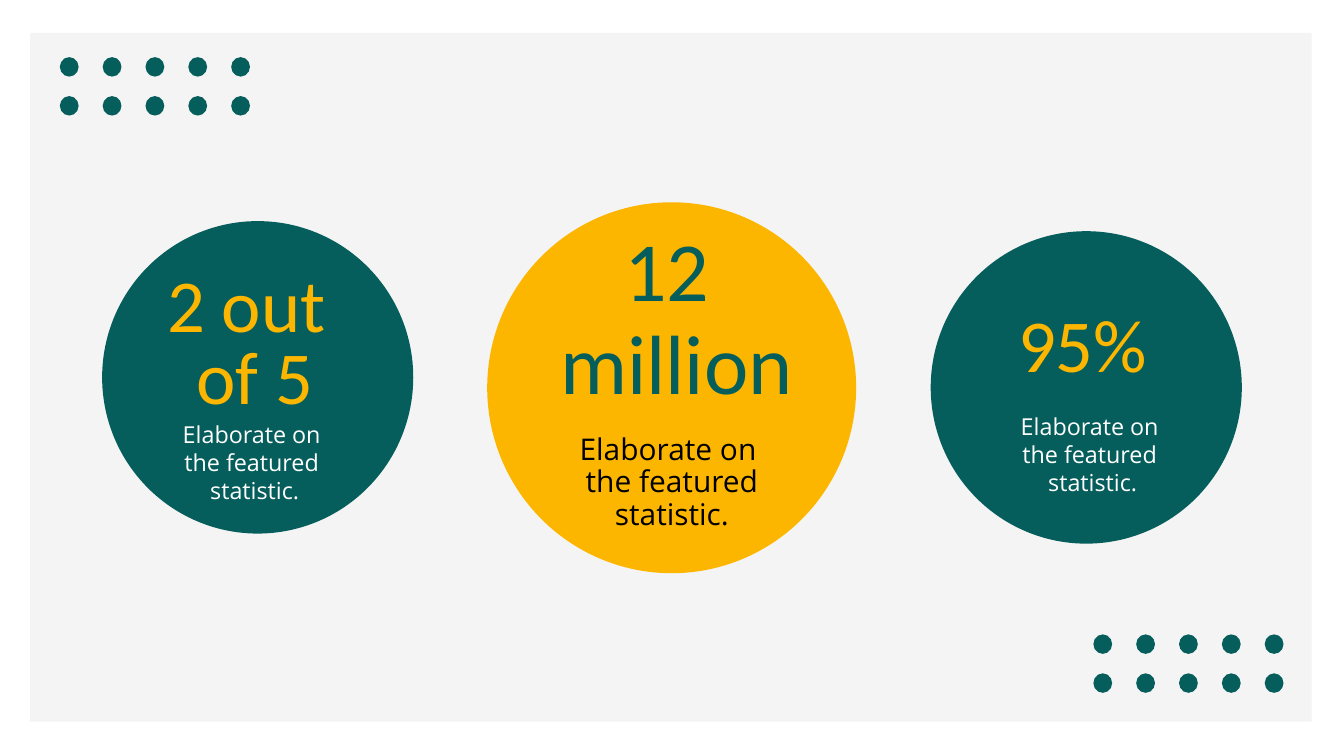
from pptx import Presentation
from pptx.dml.color import RGBColor
from pptx.enum import shapes, text
from pptx.util import Inches, Pt

TEAL = RGBColor(0x05, 0x5E, 0x5C)
GOLD = RGBColor(0xFD, 0xB6, 0x00)
GREY = RGBColor(0xF4, 0xF4, 0xF4)
WHITE = RGBColor(0xFF, 0xFF, 0xFF)
BLACK = RGBColor(0x00, 0x00, 0x00)

OVAL = shapes.MSO_SHAPE.OVAL
RECT = shapes.MSO_SHAPE.RECTANGLE
MID = text.MSO_ANCHOR.MIDDLE
TOP = text.MSO_ANCHOR.TOP


def add_form(slide, kind, box, fill):
    form = slide.shapes.add_shape(kind, *map(Inches, box))
    form.shadow.inherit = False
    form.fill.solid()
    form.fill.fore_color.rgb = fill
    form.line.fill.background()


def add_text(slide, box, lines, gaps, anchor, size, face, color):
    """Write centred lines, each with its own line spacing."""
    frame = slide.shapes.add_textbox(*map(Inches, box)).text_frame
    style = dict(margin_left=0, margin_top=0, margin_right=0, margin_bottom=0,
                 word_wrap=True, vertical_anchor=anchor)
    for key, value in style.items():
        setattr(frame, key, value)
    for i, (line, gap) in enumerate(zip(lines, gaps)):
        para = frame.add_paragraph() if i else frame.paragraphs[0]
        para.alignment = text.PP_ALIGN.CENTER
        para.line_spacing = gap
        run = para.add_run()
        run.text = line
        run.font.size = Pt(size)
        run.font.name = face
        run.font.color.rgb = color


def add_stat(slide, box, fill, stat, note):
    """Draw a disc; stat and note boxes are offset from its corner."""
    left, top = box[:2]
    add_form(slide, OVAL, box, fill)
    for part in (stat, note):
        x, y, wide, high = part["box"]
        add_text(slide, **{**part, "box": (left + x, top + y, wide, high)})


def add_dots(slide, box, cols=5, rows=2, wide=0.28, high=0.29):
    """Spread a grid of dots evenly over the box."""
    left, top, width, height = box
    for row in range(rows):
        for col in range(cols):
            x = left + col * (width - wide) / (cols - 1)
            y = top + row * (height - high) / (rows - 1)
            add_form(slide, OVAL, (x, y, wide, high), TEAL)


def main():
    deck = Presentation()
    deck.slide_width, deck.slide_height = Inches(20), Inches(11.25)
    slide = deck.slides.add_slide(deck.slide_layouts[6])

    # Backdrop panel
    add_form(slide, RECT, (0.45, 0.49, 19.07, 10.25), GREY)

    # Centre statistic
    add_stat(slide, (7.25, 3.01, 5.49, 5.52), GOLD,
             dict(box=(0.36, 0.21, 4.91, 2.86), lines=["12 ", "million"],
                  gaps=[1.06, 0.95], anchor=MID, size=90, face="Calibri",
                  color=TEAL),
             dict(box=(1.07, 3.46, 3.36, 1.45),
                  lines=["Elaborate on ", "the featured statistic."],
                  gaps=[0.9, 0.9], anchor=TOP, size=32, face="Open Sans",
                  color=BLACK))

    # Side statistics
    stat = dict(anchor=MID, size=80, face="Calibri", color=GOLD)
    note = dict(lines=["Elaborate on ", "the featured ", "statistic."],
                gaps=[1.0] * 3, anchor=TOP, size=25, face="Open Sans",
                color=WHITE)
    add_stat(slide, (1.52, 3.29, 4.63, 4.65), TEAL,
             dict(stat, box=(0.58, 0.34, 3.38, 3.06),
                  lines=["2 out ", "of 5"], gaps=[0.8, 0.8]),
             dict(note, box=(1.06, 2.97, 2.42, 1.26)))
    add_stat(slide, (13.85, 3.44, 4.63, 4.65), TEAL,
             dict(stat, box=(0.57, 0.05, 3.38, 3.06),
                  lines=["95%"], gaps=[1.11]),
             dict(note, box=(1.2, 2.69, 2.42, 1.26)))

    # Corner dots
    for left, top in ((0.89, 0.85), (16.27, 9.44)):
        add_dots(slide, (left, top, 2.83, 0.87))

    deck.save("out.pptx")


if __name__ == "__main__":
    main()
